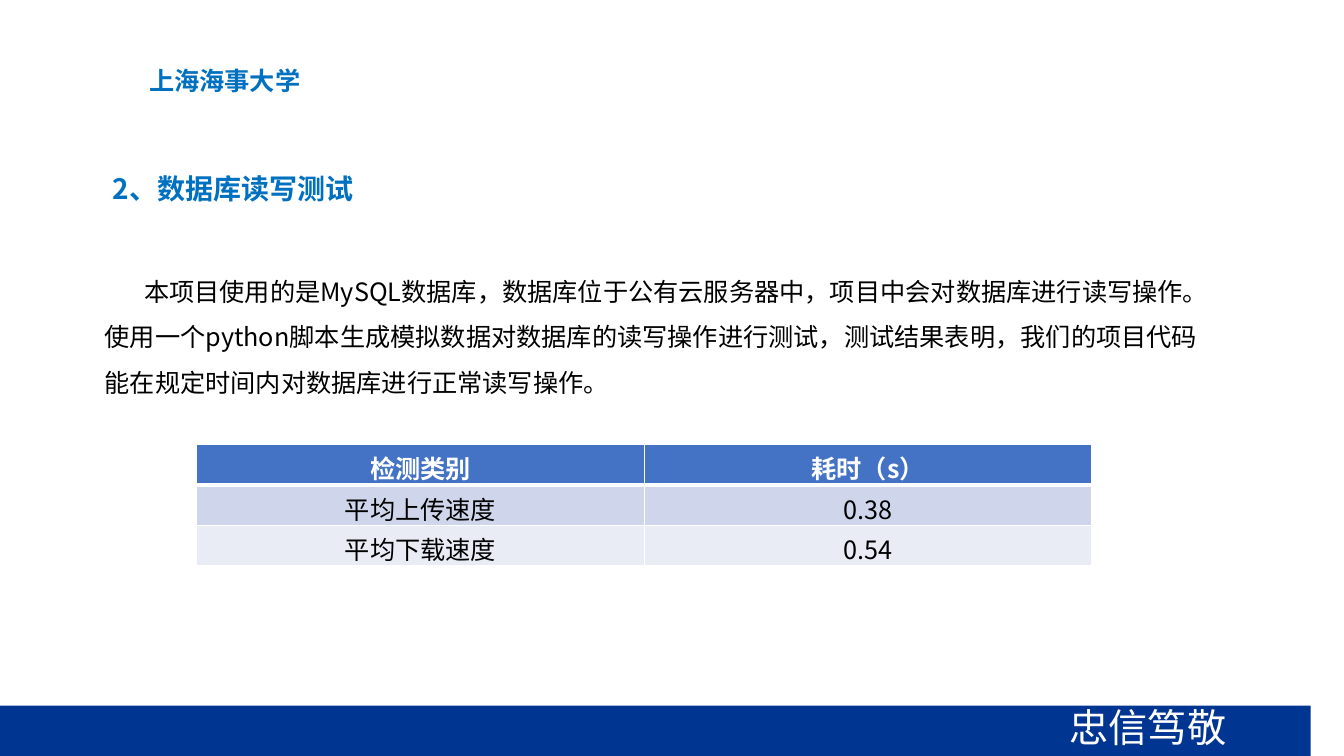
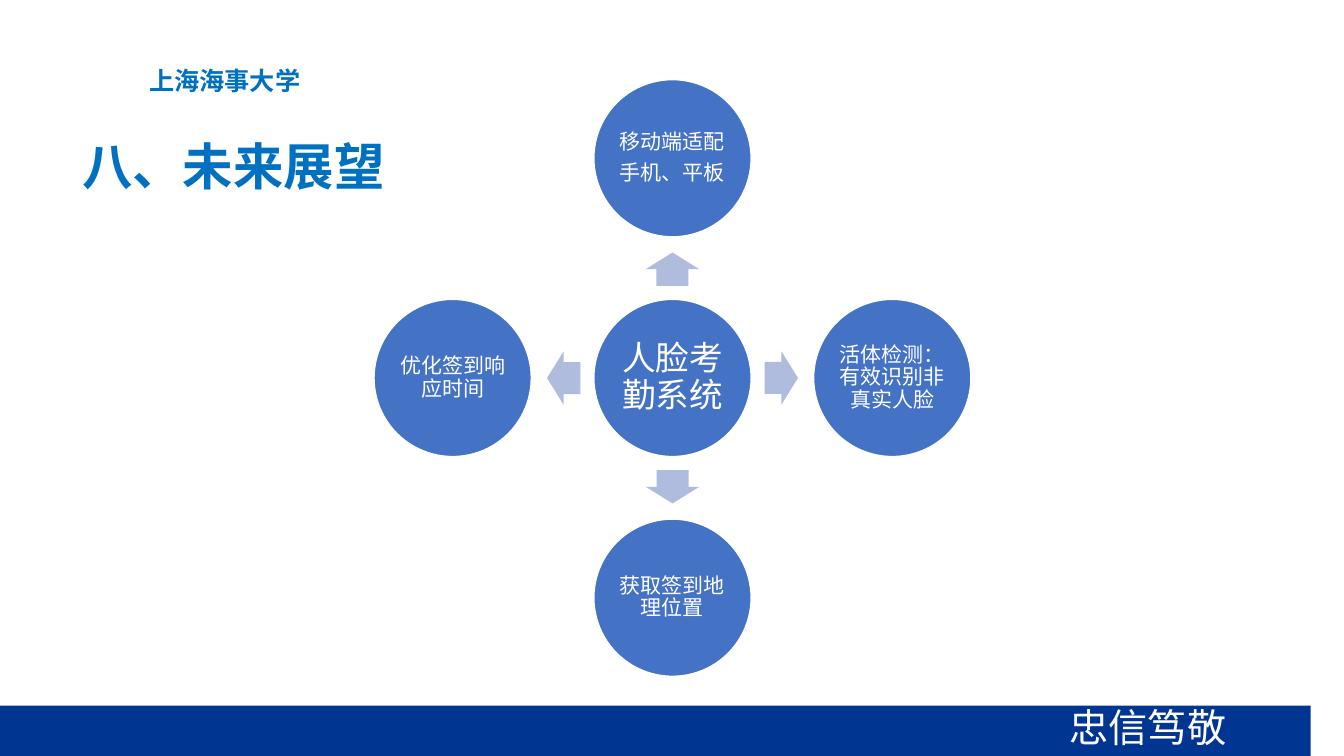
from dataclasses import dataclass
from math import cos, radians, sin

from lxml.etree import SubElement
from pptx import Presentation
from pptx.dml.color import RGBColor
from pptx.enum.shapes import MSO_SHAPE as Preset
from pptx.enum.text import MSO_ANCHOR as Anchor
from pptx.enum.text import MSO_AUTO_SIZE as AutoSize
from pptx.enum.text import PP_ALIGN as Align
from pptx.oxml.ns import qn
from pptx.shapes.autoshape import Shape
from pptx.slide import Slide
from pptx.table import _Cell as Cell
from pptx.text.text import TextFrame
from pptx.text.text import _Paragraph as Paragraph
from pptx.util import Inches, Pt


@dataclass(frozen=True)
class Theme:
    font: str = "Noto Sans CJK SC"
    motto_font: str = "Noto Sans CJK JP"
    white: str = "FFFFFF"
    black: str = "000000"
    navy: str = "003692"
    heading: str = "0070C0"
    accent: str = "4472C4"
    arrow: str = "B0BCDE"
    row_tints: tuple[str, str] = ("CFD5EA", "E9EBF5")
    title_size: int = 36
    motto_size: int = 28
    hub_size: int = 24
    subtitle_size: int = 20
    body_size: int = 18
    node_size: int = 15


THEME = Theme()
WIDTH, HEIGHT = 13.33, 7.5
Point = tuple[float, float]


@dataclass(frozen=True)
class Style:
    size: int
    color: str
    bold: bool = False
    align: Align = Align.LEFT
    font: str = THEME.font
    line_spacing: float = 1.0
    space_after: float = 0
    indent: float = 0


@dataclass(frozen=True)
class Area:
    left: float
    top: float
    width: float
    height: float

    def lengths(self) -> tuple[Inches, Inches, Inches, Inches]:
        return (Inches(self.left), Inches(self.top),
                Inches(self.width), Inches(self.height))


@dataclass(frozen=True)
class Outlook:
    """A circle around the hub; the angle runs clockwise from the right."""
    angle: int
    lines: tuple[str, ...]


MOTTO = Style(THEME.motto_size, THEME.white, align=Align.JUSTIFY, font=THEME.motto_font)
SCHOOL = Style(THEME.body_size, THEME.heading, bold=True)
SUBTITLE = Style(THEME.subtitle_size, THEME.heading, bold=True, align=Align.CENTER)
TITLE = Style(THEME.title_size, THEME.heading, bold=True, align=Align.CENTER)
BODY = Style(THEME.body_size, THEME.black, line_spacing=1.5, indent=0.39)
HEADER_CELL = Style(THEME.body_size, THEME.white, bold=True, align=Align.CENTER)
BODY_CELL = Style(THEME.body_size, THEME.black, align=Align.CENTER)
HUB = Style(THEME.hub_size, THEME.white, align=Align.CENTER, line_spacing=0.9)
NODE = Style(THEME.node_size, THEME.white, align=Align.CENTER,
             line_spacing=0.9, space_after=5.25)

INTRO = (
    "本项目使用的是MySQL数据库，数据库位于公有云服务器中，项目中会对数据库进行读写操作。"
    "使用一个python脚本生成模拟数据对数据库的读写操作进行测试，测试结果表明，"
    "我们的项目代码能在规定时间内对数据库进行正常读写操作。"
)
TIMINGS = (
    ("检测类别", "耗时（s）"),
    ("平均上传速度", "0.38"),
    ("平均下载速度", "0.54"),
)
OUTLOOKS = (
    Outlook(270, ("移动端适配", "手机、平板")),
    Outlook(0, ("活体检测：有效识别非真实人脸",)),
    Outlook(90, ("获取签到地理位置",)),
    Outlook(180, ("优化签到响应时间",)),
)
HUB_CENTER: Point = (6.67, 3.75)
CIRCLE_SIZE = 1.56
NODE_DISTANCE = 2.18
ARROW_DISTANCE = 1.08
ARROW_LENGTH, ARROW_WIDTH = 0.33, 0.53


def rgb(color: str) -> RGBColor:
    return RGBColor.from_string(color)


def style_paragraph(para: Paragraph, style: Style) -> None:
    para.alignment = style.align
    para.line_spacing = style.line_spacing
    para.space_after = Pt(style.space_after)
    if style.indent:
        para._p.get_or_add_pPr().set("indent", str(Inches(style.indent)))
    para.font.size = Pt(style.size)
    para.font.bold = style.bold
    para.font.color.rgb = rgb(style.color)
    para.font.name = style.font
    defaults = para._p.pPr.find(qn("a:defRPr"))
    SubElement(defaults, qn("a:ea")).set("typeface", style.font)


def write(frame: TextFrame, lines: tuple[str, ...], style: Style) -> None:
    for index, line in enumerate(lines):
        para = frame.add_paragraph() if index else frame.paragraphs[0]
        para.text = line
        style_paragraph(para, style)


def add_text(page: Slide, area: Area, text: str, style: Style, wrap: bool = True) -> None:
    frame = page.shapes.add_textbox(*area.lengths()).text_frame
    frame.word_wrap = wrap
    frame.auto_size = AutoSize.SHAPE_TO_FIT_TEXT
    write(frame, (text,), style)


def paint(shape: Shape, fill: str, line: str | None = None) -> None:
    shape.shadow.inherit = False
    shape.fill.solid()
    shape.fill.fore_color.rgb = rgb(fill)
    if line:
        shape.line.color.rgb = rgb(line)
        shape.line.width = Pt(1)
    else:
        shape.line.fill.background()


def curve(start: Point, pull_out: Point, pull_in: Point, end: Point,
          steps: int = 40) -> list[Point]:
    """Points along a cubic Bezier curve, without its start."""
    points = []
    for step in range(1, steps + 1):
        t = step / steps
        weights = ((1 - t) ** 3, 3 * t * (1 - t) ** 2, 3 * t * t * (1 - t), t ** 3)
        controls = (start, pull_out, pull_in, end)
        points.append((sum(w * c[0] for w, c in zip(weights, controls)),
                       sum(w * c[1] for w, c in zip(weights, controls))))
    return points


def add_wave(page: Slide) -> None:
    left, valley, right = (0, 7.13), (8.66, 7.35), (WIDTH, 6.92)
    outline = [
        *curve(left, (0.45, 7.07), (4.57, 6.56), valley),
        *curve(valley, valley, (10.13, 6.85), right),
        (WIDTH, HEIGHT),
        (0, HEIGHT),
    ]
    builder = page.shapes.build_freeform(*left, scale=Inches(1))
    builder.add_line_segments(outline, close=True)
    paint(builder.convert_to_shape(), THEME.navy)


def add_page(deck: Presentation) -> Slide:
    """A blank page with the shared wave, motto and school name."""
    page = deck.slides.add_slide(deck.slide_layouts[6])
    add_wave(page)
    add_text(page, Area(10.51, 6.93, 2.65, 0.57), "忠信笃敬", MOTTO)
    add_text(page, Area(1.38, 0.6, 1.72, 0.4), "上海海事大学", SCHOOL, wrap=False)
    return page


def add_borders(cell: Cell, bottom: float) -> None:
    properties = cell._tc.get_or_add_tcPr()
    for side, width in (("L", 1), ("R", 1), ("T", 1), ("B", bottom)):
        line = SubElement(properties, qn(f"a:ln{side}"), w=str(Pt(width)))
        fill = SubElement(line, qn("a:solidFill"))
        SubElement(fill, qn("a:srgbClr"), val=THEME.white)


def add_timings(page: Slide) -> None:
    area = Area(1.95, 4.41, 8.88, 1.2)
    table = page.shapes.add_table(len(TIMINGS), len(TIMINGS[0]), *area.lengths()).table
    fills = (THEME.accent, *THEME.row_tints)
    for row, (texts, fill) in enumerate(zip(TIMINGS, fills)):
        for column, text in enumerate(texts):
            cell = table.cell(row, column)
            add_borders(cell, bottom=1 if row else 3)
            cell.fill.solid()
            cell.fill.fore_color.rgb = rgb(fill)
            write(cell.text_frame, (text,), BODY_CELL if row else HEADER_CELL)


def centered(center: Point, width: float, height: float) -> Area:
    return Area(center[0] - width / 2, center[1] - height / 2, width, height)


def around_hub(angle: int, distance: float) -> Point:
    turn = radians(angle)
    return (HUB_CENTER[0] + distance * cos(turn), HUB_CENTER[1] + distance * sin(turn))


def add_circle(page: Slide, center: Point, lines: tuple[str, ...],
               style: Style, inset: float) -> None:
    area = centered(center, CIRCLE_SIZE, CIRCLE_SIZE)
    circle = page.shapes.add_shape(Preset.OVAL, *area.lengths())
    paint(circle, THEME.accent, THEME.white)
    frame = circle.text_frame
    frame.word_wrap = True
    frame.vertical_anchor = Anchor.MIDDLE
    frame.margin_left = frame.margin_right = Inches(inset)
    frame.margin_top = frame.margin_bottom = Inches(inset)
    write(frame, lines, style)


def add_arrow(page: Slide, angle: int) -> None:
    area = centered(around_hub(angle, ARROW_DISTANCE), ARROW_LENGTH, ARROW_WIDTH)
    arrow = page.shapes.add_shape(Preset.RIGHT_ARROW, *area.lengths())
    arrow.adjustments[0] = 0.6
    arrow.adjustments[1] = 0.5
    arrow.rotation = angle
    paint(arrow, THEME.arrow)


def add_database_page(deck: Presentation) -> None:
    page = add_page(deck)
    add_text(page, Area(0.1, 1.65, 4.43, 0.44), "2、数据库读写测试", SUBTITLE)
    add_text(page, Area(0.94, 2.54, 11.26, 1.42), INTRO, BODY)
    add_timings(page)


def add_outlook_page(deck: Presentation) -> None:
    page = add_page(deck)
    add_text(page, Area(0.1, 1.29, 4.43, 0.71), "八、未来展望", TITLE)
    add_circle(page, HUB_CENTER, ("人脸考勤系统",), HUB, inset=0.03)
    for outlook in OUTLOOKS:
        add_arrow(page, outlook.angle)
        add_circle(page, around_hub(outlook.angle, NODE_DISTANCE),
                   outlook.lines, NODE, inset=0.02)


def main() -> None:
    deck = Presentation()
    deck.slide_width, deck.slide_height = Inches(WIDTH), Inches(HEIGHT)
    add_database_page(deck)
    add_outlook_page(deck)
    deck.save("out.pptx")


if __name__ == "__main__":
    main()
